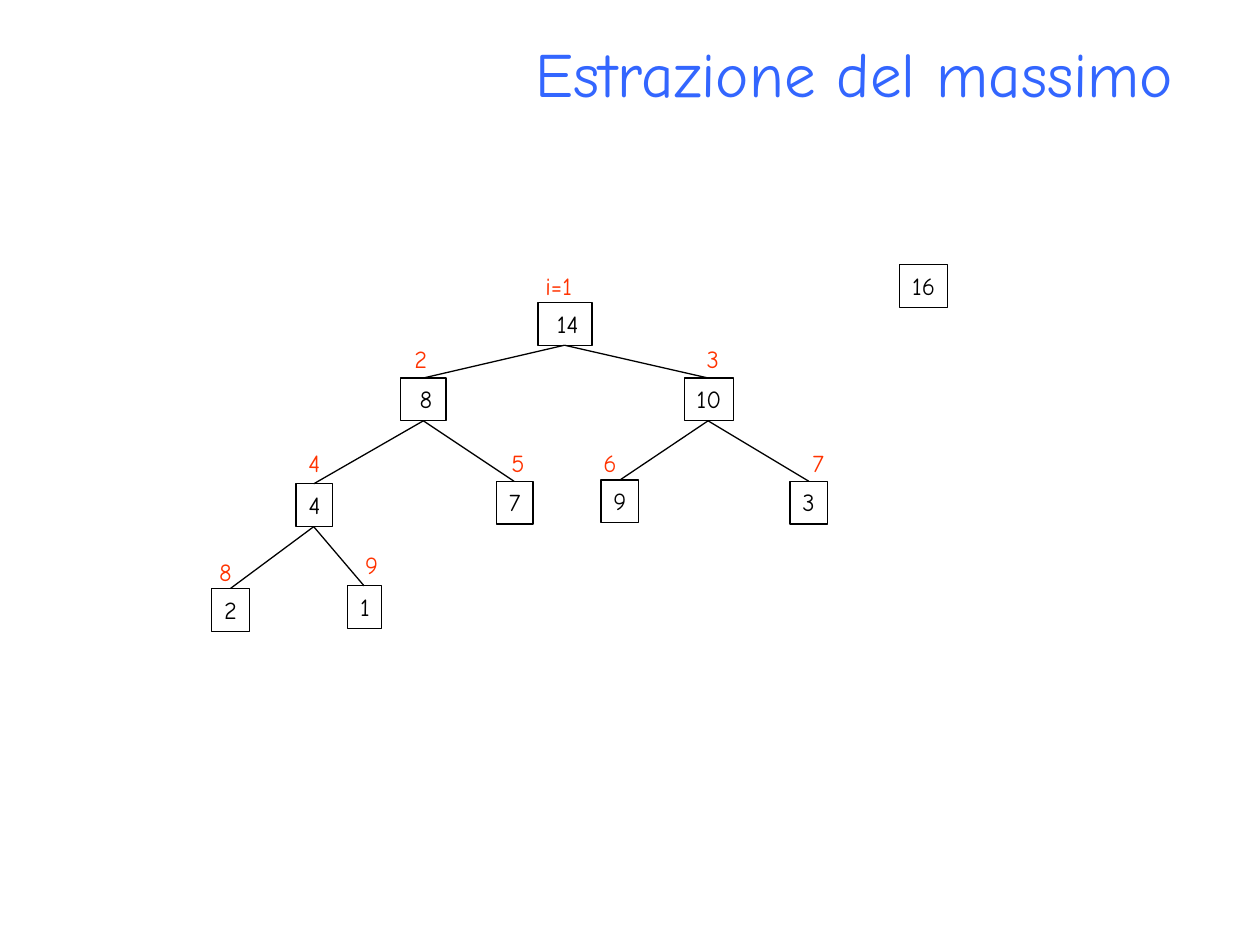
import pptx
import pptx.util
import pptx.dml.color
import pptx.enum.shapes
import pptx.enum.text
import pptx.oxml

SCALE = 9144
BLACK = pptx.dml.color.RGBColor(0x00, 0x00, 0x00)
BLUE = pptx.dml.color.RGBColor(0x33, 0x66, 0xFF)
RED = pptx.dml.color.RGBColor(0xFF, 0x33, 0x00)
FACE = "Comic Neue"
HIGH = 34
ALIGN = pptx.enum.text.PP_ALIGN
ANCHOR = pptx.enum.text.MSO_ANCHOR
NODES = [
    ("14", 263, 30, 43, 15, "i=1", 259, 0, 41),
    ("8", 154, 90, 36, 15, "2", 155, 58, 30),
    ("10", 379, 90, 39, 10, "3", 387, 58, 30),
    ("4", 71, 174, 29, 10, "4", 71, 141, 30),
    ("7", 230, 172, 29, 10, "5", 232, 141, 30),
    ("9", 313, 171, 30, 10, "6", 305, 141, 30),
    ("3", 463, 172, 30, 10, "7", 471, 141, 30),
    ("2", 4, 257, 30, 10, "8", 0, 227, 30),
    ("1", 112, 255, 27, 10, "9", 116, 222, 30),
]


def px(*nums):
    """Turn px lengths into EMU."""
    return [pptx.util.Emu(num * SCALE) for num in nums]


def put(item, values):
    """Set each named format value on an item."""
    for name, value in values.items():
        setattr(item, name, value)


def write(shape, text, size, color, align=ALIGN.LEFT, frame=None):
    """Write one styled line of text into a shape."""
    body = shape.text_frame
    put(body, {"word_wrap": False, "vertical_anchor": ANCHOR.TOP, **(frame or {})})
    line = body.paragraphs[0]
    line.alignment = align
    run = line.add_run()
    run.text = text
    put(run.font, {"size": pptx.util.Pt(size), "name": FACE})
    run.font.color.rgb = color


def title(slide, box):
    """Place the right-aligned heading in its box."""
    shape = slide.shapes.add_textbox(*px(*box))
    frame = {"word_wrap": True, "vertical_anchor": ANCHOR.MIDDLE}
    write(shape, "Estrazione del massimo", 36, BLUE, ALIGN.RIGHT, frame)


def cell(slide, box, text, inset=10):
    """Place one outlined key cell in its box."""
    kind = pptx.enum.shapes.MSO_SHAPE.RECTANGLE
    shape = slide.shapes.add_shape(kind, *px(*box))
    shape.shadow.inherit = False
    shape.fill.background()
    shape.line.color.rgb = BLACK
    shape.line.width = pptx.util.Pt(0.75)
    write(shape, text, 14, BLACK, frame={"margin_left": px(inset)[0]})


def edge(slide, start, end):
    """Join two points with a thin black line."""
    kind = pptx.enum.shapes.MSO_CONNECTOR.STRAIGHT
    line = slide.shapes.add_connector(kind, *px(*start, *end))
    line.line.color.rgb = BLACK
    line.line.width = pptx.util.Pt(0.75)
    props = line.line._get_or_add_ln().getparent()
    tag = pptx.oxml.ns.qn("a:effectLst")
    props.append(props.makeelement(tag, {}))


def tree(slide, box):
    """Place the heap, its edges and its index labels in a box."""
    left, top = box[:2]
    mids = []
    for key, x, y, wide, inset, *_ in NODES:
        cell(slide, (left + x, top + y, wide, HIGH), key, inset)
        mids.append((left + x + wide // 2, top + y))
    for child in range(2, len(NODES) + 1):
        x, y = mids[child // 2 - 1]
        edge(slide, (x, y + HIGH), mids[child - 1])
    for *_, mark, x, y, wide in NODES:
        shape = slide.shapes.add_textbox(*px(left + x, top + y, wide, HIGH))
        write(shape, mark, 14, RED)


def main():
    """Build and save the slide."""
    deck = pptx.Presentation()
    wide, high = px(1000, 750)
    put(deck, {"slide_width": wide, "slide_height": high})
    slide = deck.slides.add_slide(deck.slide_layouts[6])
    title(slide, (91, 21, 850, 72))
    tree(slide, (164, 210, 501, 291))
    cell(slide, (714, 210, 38, HIGH), "16")
    deck.save("out.pptx")


if __name__ == "__main__":
    main()
